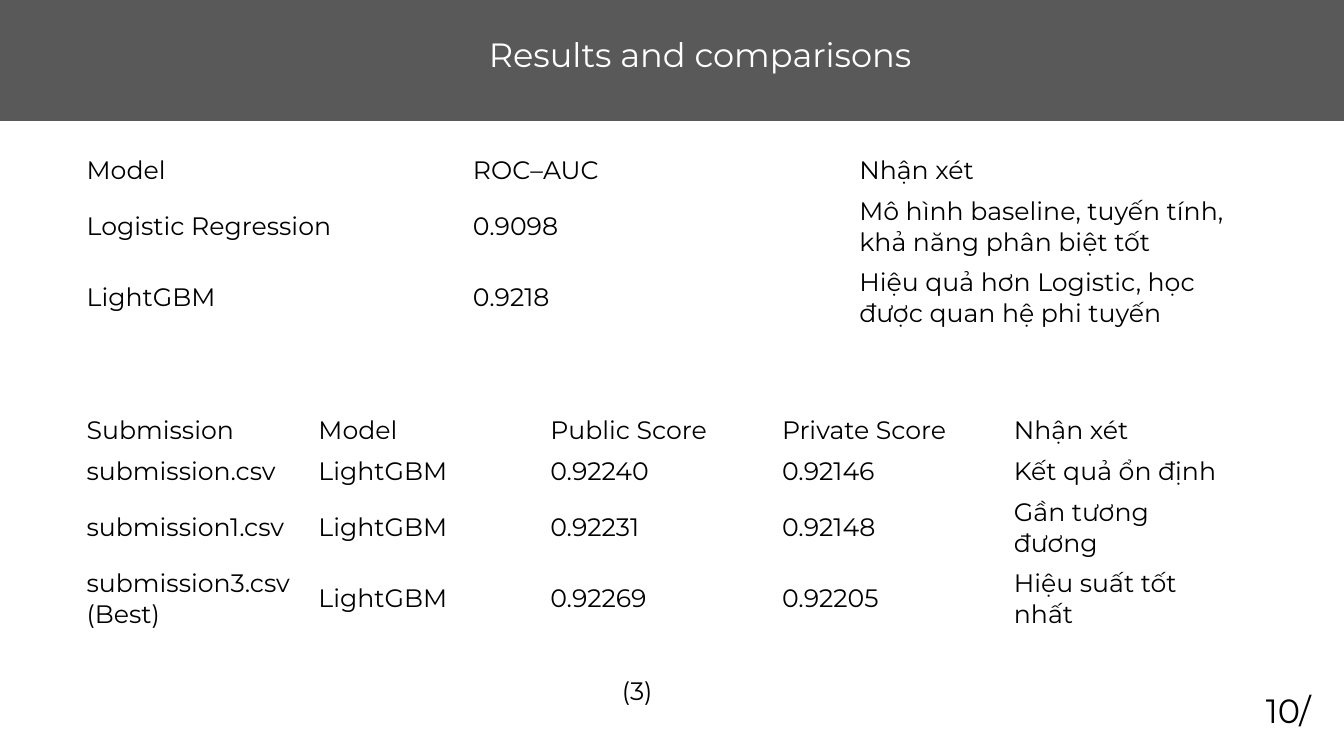
from pptx import Presentation
from pptx.dml.color import RGBColor
from pptx.enum import shapes, text
from pptx.util import Cm, Pt

FONT = "Montserrat"
BLACK = RGBColor(0, 0, 0)
WHITE = RGBColor(255, 255, 255)
GREY = RGBColor(0x59, 0x59, 0x59)

# text, (left, top, width, height) in cm, size, colour
LABELS = [
    ("Results and comparisons", (12.07, 0.74, 21.5, 2.31), 24, WHITE),
    ("(3)", (15.42, 16.89, 1.52, 1.03), 18, BLACK),
    ("10/", (31.65, 17.27, 1.96, 1.28), 24, BLACK),
]

MODELS = [
    ("Model", "ROC–AUC", "Nhận xét"),
    ("Logistic Regression", "0.9098", "Mô hình baseline, tuyến tính, khả năng phân biệt tốt"),
    ("LightGBM", "0.9218", "Hiệu quả hơn Logistic, học được quan hệ phi tuyến"),
]
SUBMISSIONS = [
    ("Submission", "Model", "Public Score", "Private Score", "Nhận xét"),
    ("submission.csv", "LightGBM", "0.92240", "0.92146", "Kết quả ổn định"),
    ("submission1.csv", "LightGBM", "0.92231", "0.92148", "Gần tương đương"),
    ("submission3.csv (Best)", "LightGBM", "0.92269", "0.92205", "Hiệu suất tốt nhất"),
]
ONE_LINE, TWO_LINES = 1.03, 1.79  # row heights in cm
# rows, top, row heights
TABLES = [
    (MODELS, 3.78, (ONE_LINE, TWO_LINES, TWO_LINES)),
    (SUBMISSIONS, 10.34, (ONE_LINE, ONE_LINE, TWO_LINES, TWO_LINES)),
]
TABLE_LEFT, TABLE_WIDTH = 1.93, 29.21


def write(tf, content, size, color):
    tf.text = content
    font = tf.paragraphs[0].runs[0].font
    font.name, font.size, font.bold = FONT, Pt(size), False
    font.color.rgb = color


def add_plain_table(s, rows, top, heights):
    """Add a table of equal columns without fills or banding."""
    n_cols = len(rows[0])
    frame = s.shapes.add_table(len(rows), n_cols, Cm(TABLE_LEFT), Cm(top),
                               Cm(TABLE_WIDTH), Cm(sum(heights)))
    table = frame.table
    table.first_row = table.horz_banding = False
    for col in table.columns:
        col.width = Cm(TABLE_WIDTH / n_cols)
    for i, (values, height) in enumerate(zip(rows, heights)):
        table.rows[i].height = Cm(height)
        for j, value in enumerate(values):
            cell = table.cell(i, j)
            cell.fill.background()
            cell.vertical_anchor = text.MSO_ANCHOR.MIDDLE
            write(cell.text_frame, value, 18, BLACK)


def main():
    prs = Presentation()
    prs.slide_width, prs.slide_height = Cm(33.87), Cm(19.05)
    s = prs.slides.add_slide(prs.slide_layouts[6])

    band = s.shapes.add_shape(shapes.MSO_SHAPE.RECTANGLE, 0, 0, prs.slide_width, Cm(3.05))
    band.shadow.inherit = False
    band.fill.solid()
    band.fill.fore_color.rgb = GREY
    band.line.fill.background()

    for content, box, size, color in LABELS:
        tf = s.shapes.add_textbox(*map(Cm, box)).text_frame
        tf.word_wrap = True
        write(tf, content, size, color)

    for rows, top, heights in TABLES:
        add_plain_table(s, rows, top, heights)

    prs.save("out.pptx")


if __name__ == "__main__":
    main()
